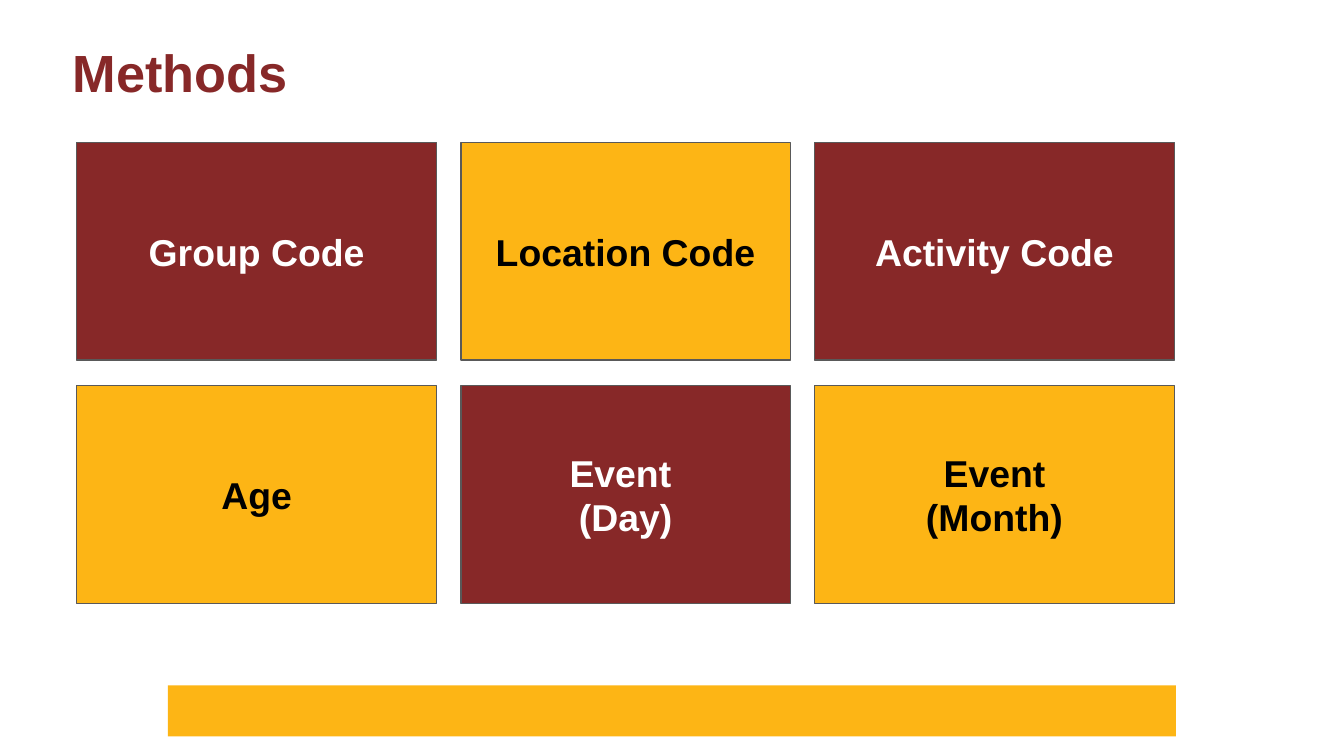
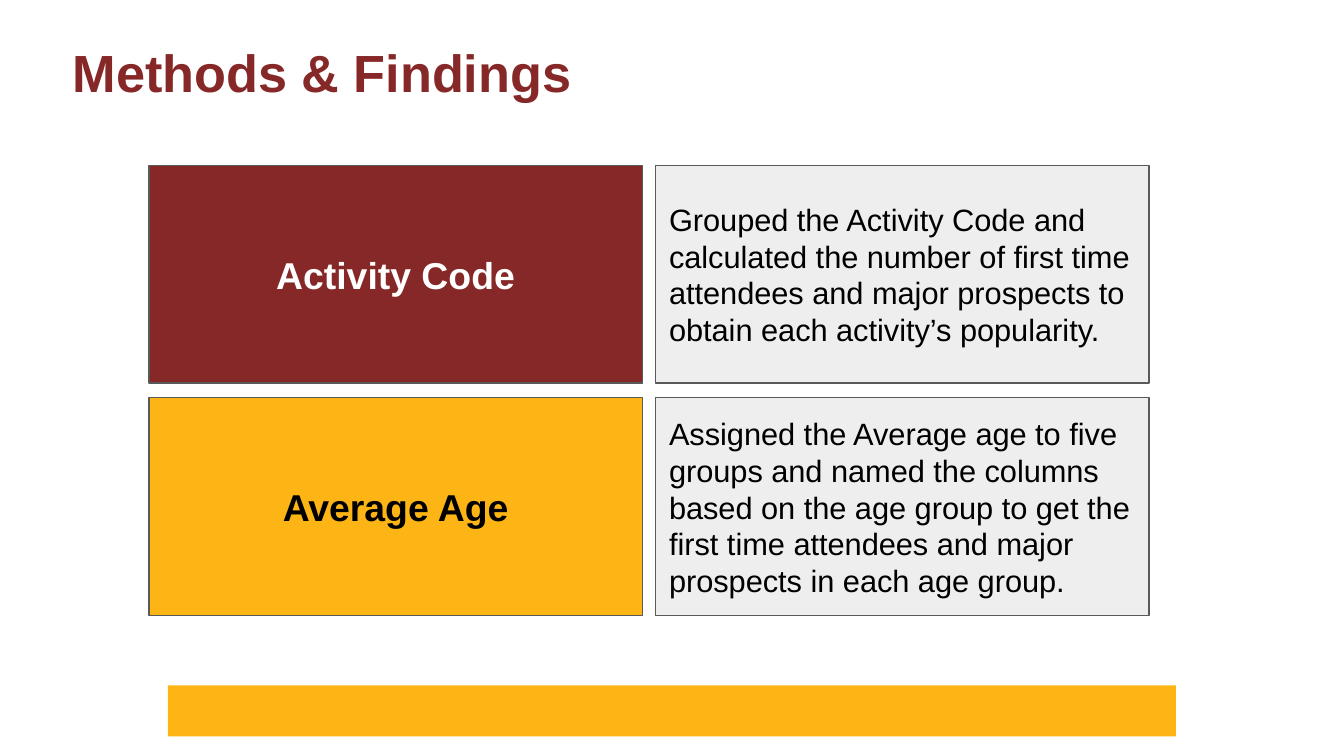
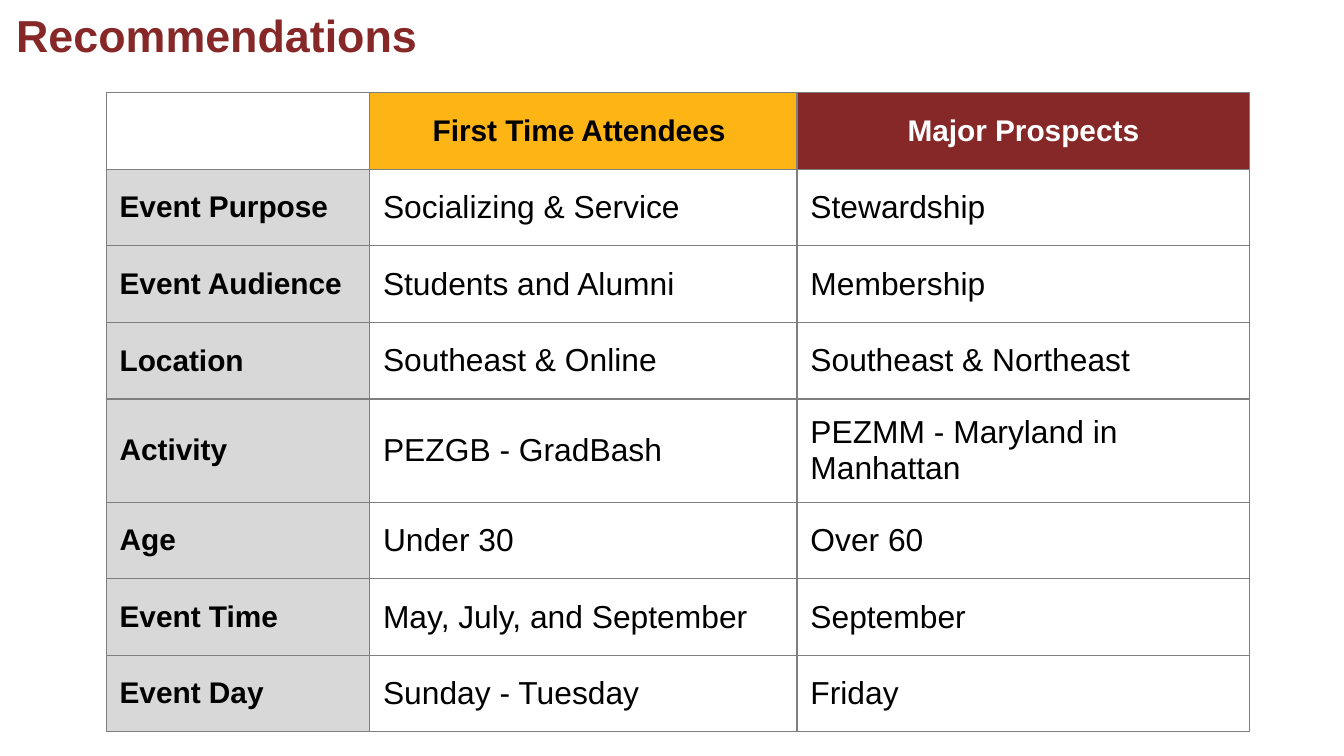
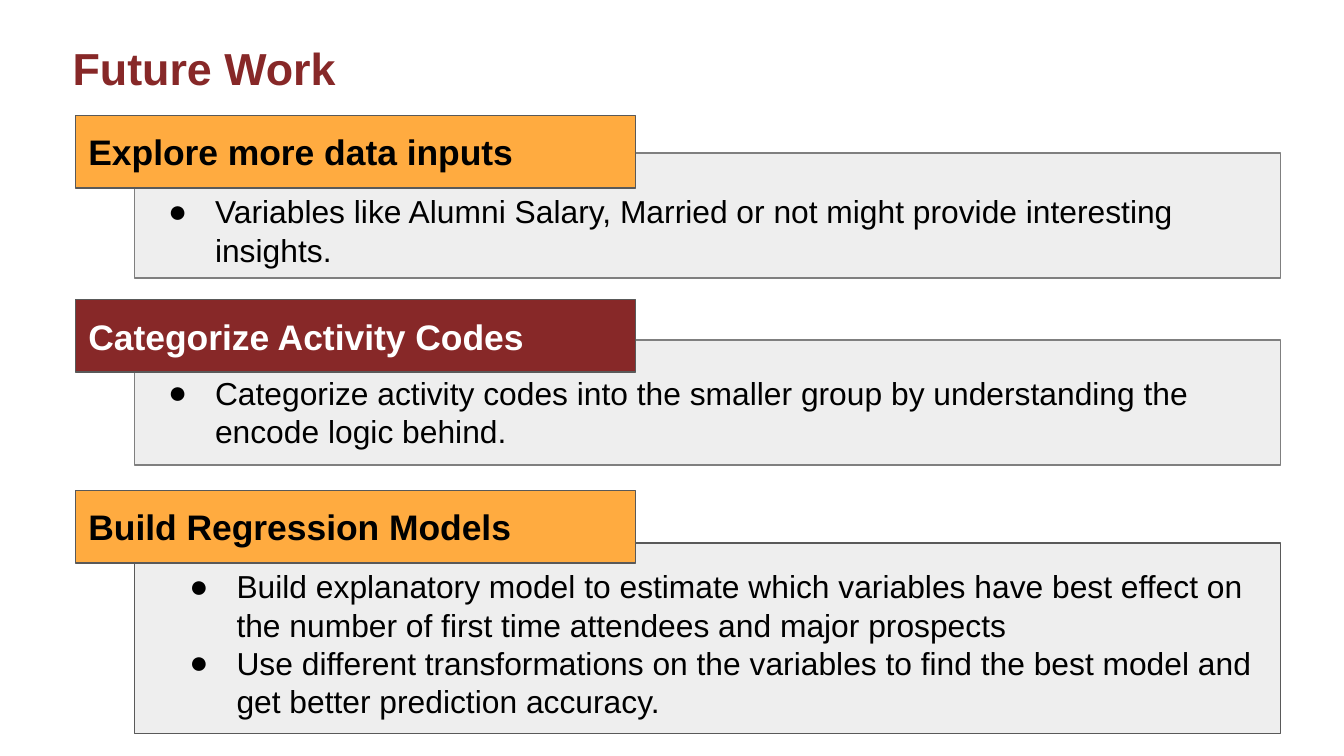
from lxml.etree import SubElement
from pptx import Presentation
from pptx.dml.color import RGBColor
from pptx.enum.shapes import MSO_SHAPE
from pptx.enum.text import MSO_ANCHOR, MSO_AUTO_SIZE, PP_ALIGN
from pptx.oxml.ns import qn
from pptx.util import Inches, Pt

COLORS = {
    "maroon": "872828", "gold": "FDB515", "orange": "FFAB40",
    "panel": "EEEEEE", "label": "D8D8D8", "outline": "595959",
    "border": "7F7F7F", "black": "000000", "white": "FFFFFF",
}
FONT = "Arial"
TITLE_ONLY, COMPARISON = 5, 4


def color(name):
    """Return the named colour."""
    return RGBColor.from_string(COLORS[name])


def text_color(fill):
    """Return the name of the text colour that reads well on a fill."""
    return "white" if fill == "maroon" else "black"


class Deck:
    """Hold the shared style and the current slide."""

    def __init__(self):
        """Start an empty widescreen presentation."""
        self.presentation = Presentation()
        self.presentation.slide_width = Inches(10)
        self.presentation.slide_height = Inches(5.625)
        self.slide = None

    def add_slide(self, title, left=0.47, top=0.31, size=28, layout=TITLE_ONLY):
        """Add a slide with a styled title."""
        self.slide = self.presentation.slides.add_slide(
            self.presentation.slide_layouts[layout])
        shape = self.slide.shapes.title
        self.place(shape, left, top, 9.06, 0.5 if size == 28 else 0.44)
        frame = shape.text_frame
        self.format_frame(frame, 0.07, 0.04, MSO_ANCHOR.TOP)
        frame.auto_size = MSO_AUTO_SIZE.SHAPE_TO_FIT_TEXT
        self.set_text(frame.paragraphs[0], title, size, "maroon", bold=True)
        frame.paragraphs[0].line_spacing = 0.9

    def place(self, shape, left, top, width, height):
        """Set the position and size of a shape."""
        shape.left, shape.top = Inches(left), Inches(top)
        shape.width, shape.height = Inches(width), Inches(height)

    def format_frame(self, frame, side=0.1, end=0.1, anchor=MSO_ANCHOR.MIDDLE):
        """Set wrapping, insets and anchor of a text frame."""
        frame.word_wrap = True
        frame.margin_left = frame.margin_right = Inches(side)
        frame.margin_top = frame.margin_bottom = Inches(end)
        frame.vertical_anchor = anchor

    def set_text(self, paragraph, text, size, ink="black", bold=False, align=PP_ALIGN.LEFT):
        """Fill and format one paragraph."""
        paragraph.text = text
        paragraph.alignment = align
        paragraph.space_before = Pt(0)
        font = paragraph.font
        font.name, font.size, font.bold = FONT, Pt(size), bold
        font.color.rgb = color(ink)

    def box(self, left, top, width, height, fill, outline="outline"):
        """Draw a filled rectangle with an optional outline."""
        shape = self.slide.shapes.add_shape(
            MSO_SHAPE.RECTANGLE, Inches(left), Inches(top), Inches(width), Inches(height))
        shape.shadow.inherit = False
        shape.fill.solid()
        shape.fill.fore_color.rgb = color(fill)
        if outline:
            shape.line.color.rgb = color(outline)
            shape.line.width = Pt(0.75)
        else:
            shape.line.fill.background()
        return shape

    def text_box(self, left, top, width, height, fill, text, size=20, bold=True,
                 align=PP_ALIGN.CENTER):
        """Draw a rectangle that carries text."""
        frame = self.box(left, top, width, height, fill).text_frame
        self.format_frame(frame)
        self.set_text(frame.paragraphs[0], text, size, text_color(fill), bold, align)

    def band(self):
        """Draw the gold band at the foot of the slide."""
        self.box(1.25, 5.1, 7.5, 0.38, "gold", outline=None)

    def bullets(self, index, left, top, height, items):
        """Fill a body placeholder with a bulleted list and bring it forward."""
        shape = self.slide.placeholders[index]
        self.place(shape, left, top, 8.53, height)
        self.slide.shapes.title.element.getparent().append(shape.element)
        frame = shape.text_frame
        self.format_frame(frame, anchor=MSO_ANCHOR.TOP)
        frame.auto_size = MSO_AUTO_SIZE.SHAPE_TO_FIT_TEXT
        for number, item in enumerate(items):
            paragraph = frame.add_paragraph() if number else frame.paragraphs[0]
            self.set_text(paragraph, item, 17)
            properties = paragraph._p.get_or_add_pPr()
            properties.set("marL", str(Inches(0.5)))
            properties.set("indent", str(Inches(-0.35)))
            bullet_color = SubElement(properties, qn("a:buClr"))
            SubElement(bullet_color, qn("a:srgbClr"), val=COLORS["black"])
            SubElement(properties, qn("a:buFont"), typeface=FONT)
            SubElement(properties, qn("a:buChar"), char="●")
            properties.append(properties.find(qn("a:defRPr")))

    def table(self, left, top, widths, heights, rows, header_fills):
        """Draw a bordered table with a header row and a label column."""
        table = self.slide.shapes.add_table(
            len(heights), len(widths), Inches(left), Inches(top),
            Inches(sum(widths)), Inches(sum(heights))).table
        for column, width in zip(table.columns, widths):
            column.width = Inches(width)
        for row, height in zip(table.rows, heights):
            row.height = Inches(height)
        for row_index, values in enumerate(rows):
            for column_index, value in enumerate(values):
                if row_index == 0:
                    fill = header_fills[column_index]
                else:
                    fill = None if column_index else "label"
                self.cell(table.cell(row_index, column_index), value, fill, row_index == 0)

    def cell(self, cell, value, fill, header):
        """Format one table cell."""
        cell.margin_left = cell.margin_right = Inches(0.1)
        cell.margin_top = cell.margin_bottom = Inches(0.1)
        cell.vertical_anchor = MSO_ANCHOR.MIDDLE
        align = PP_ALIGN.CENTER if header else PP_ALIGN.LEFT
        self.set_text(cell.text_frame.paragraphs[0], value, 16 if fill else 17,
                      text_color(fill), bool(fill), align)
        properties = cell._tc.get_or_add_tcPr()
        for side in ("a:lnL", "a:lnR", "a:lnT", "a:lnB"):
            line = SubElement(properties, qn(side), w=str(Pt(0.75)))
            SubElement(SubElement(line, qn("a:solidFill")), qn("a:srgbClr"),
                       val=COLORS["border"])
        if fill:
            cell.fill.solid()
            cell.fill.fore_color.rgb = color(fill)
        else:
            cell.fill.background()


def add_methods(deck):
    """Build the grid of analysed variables."""
    deck.add_slide("Methods")
    deck.band()
    columns = [(0.57, 2.68), (3.43, 2.45), (6.06, 2.68)]
    variables = [["Group Code", "Location Code", "Activity Code"],
                 ["Age", "Event \v(Day)", "Event\v(Month)"]]
    for row, names in enumerate(variables):
        for column, name in enumerate(names):
            left, width = columns[column]
            fill = "gold" if (row + column) % 2 else "maroon"
            deck.text_box(left, 1.06 + row * 1.81, width, 1.62, fill, name)


def add_findings(deck):
    """Build the pairs of variable and method."""
    deck.add_slide("Methods & Findings")
    deck.band()
    methods = [
        ("Activity Code", "maroon",
         "Grouped the Activity Code and calculated the number of first time attendees "
         "and major prospects to obtain each activity’s popularity."),
        ("Average Age", "gold",
         "Assigned the Average age to five groups and named the columns based on the age "
         "group to get the first time attendees and major prospects in each age group."),
    ]
    for row, (name, fill, description) in enumerate(methods):
        top = 1.23 + row * 1.73
        deck.text_box(1.11, top, 3.67, 1.62, fill, name)
        deck.text_box(4.88, top, 3.67, 1.62, "panel", description, 16.5, False, PP_ALIGN.LEFT)


def add_recommendations(deck):
    """Build the table of recommendations."""
    deck.add_slide("Recommendations", left=0.05, top=0.06, size=24)
    rows = [
        ("", "First Time Attendees ", "Major Prospects"),
        ("Event Purpose", "Socializing & Service", "Stewardship"),
        ("Event Audience", "Students and Alumni", "Membership"),
        ("Location", "Southeast & Online", "Southeast & Northeast"),
        ("Activity", "PEZGB - GradBash", "PEZMM - Maryland in Manhattan"),
        ("Age", "Under 30", "Over 60"),
        ("Event Time", "May, July, and September", "September"),
        ("Event Day", "Sunday - Tuesday", "Friday"),
    ]
    heights = [0.75 if row[0] == "Activity" else 0.57 for row in rows]
    deck.table(0.79, 0.69, [1.96, 3.18, 3.37], heights, rows, [None, "gold", "maroon"])


def add_future_work(deck):
    """Build the three topics of future work."""
    deck.add_slide("Future Work", size=24, layout=COMPARISON)
    topics = [
        ("Explore more data inputs", "orange", 0.86, (1.14, 0.93, "border"), (1, 1.33, 0.77),
         ["Variables like Alumni Salary, Married or not might provide interesting insights."]),
        ("Categorize Activity Codes", "maroon", 2.23, (2.53, 0.93, "border"), (1, 2.68, 0.77),
         ["Categorize activity codes into the smaller group by understanding the "
          "encode logic behind."]),
        ("Build Regression Models", "orange", 3.65, (4.04, 1.42, "outline"), (1.16, 4.12, 1.35),
         ["Build explanatory model to estimate which variables have best effect on \v"
          "the number of first time attendees and major prospects",
          "Use different transformations on the variables to find the best model and \v"
          "get better prediction accuracy."]),
    ]
    for index, (heading, fill, top, panel, body, items) in enumerate(topics, start=1):
        panel_top, panel_height, outline = panel
        deck.box(1, panel_top, 8.53, panel_height, "panel", outline)
        deck.bullets(index, *body, items)
        deck.text_box(0.56, top, 4.17, 0.54, fill, heading, 19, align=PP_ALIGN.LEFT)
    unused = deck.slide.placeholders[4].element
    unused.getparent().remove(unused)


def main():
    """Build and save the presentation."""
    deck = Deck()
    add_methods(deck)
    add_findings(deck)
    add_recommendations(deck)
    add_future_work(deck)
    deck.presentation.save("out.pptx")


if __name__ == "__main__":
    main()
